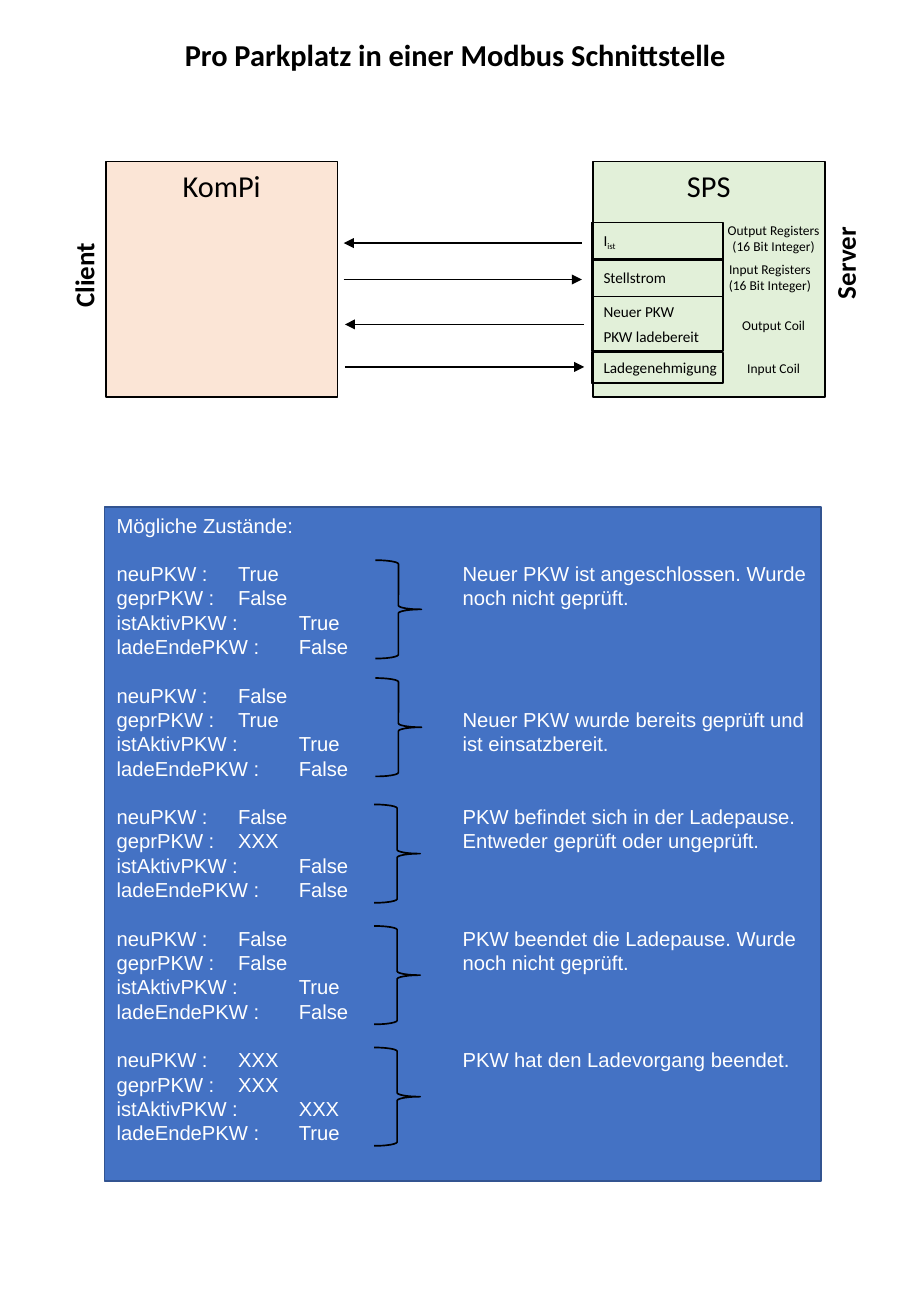
from dataclasses import dataclass
from lxml.etree import SubElement
from pptx import Presentation
from pptx.dml.color import RGBColor
from pptx.enum.shapes import MSO_CONNECTOR, MSO_SHAPE
from pptx.enum.text import MSO_ANCHOR, MSO_AUTO_SIZE, PP_ALIGN
from pptx.oxml.ns import qn
from pptx.util import Inches, Pt


@dataclass(frozen=True)
class Theme:
    black: str = "000000"
    white: str = "FFFFFF"
    peach: str = "FBE5D6"
    green: str = "E2F0D9"
    blue: str = "4472C4"
    navy: str = "325491"
    head: int = 18
    side: int = 16
    body: int = 12
    row: int = 9
    note: int = 8
    sans: str = "Calibri"
    list: str = "Arial"
    pitch: float = 14.4


THEME = Theme()
LEFT, MID, TOP = PP_ALIGN.LEFT, PP_ALIGN.CENTER, MSO_ANCHOR.TOP

# Registers: top, height, labels as (text, subscript)
ROWS = [
    (1.83, 0.31, [("I", "ist")]),
    (2.13, 0.31, [("Stellstrom", "")]),
    (2.44, 0.45, [("Neuer PKW", ""), ("PKW ladebereit", "")]),
    (2.9, 0.25, [("Ladegenehmigung", "")]),
]
KINDS = [
    ((5.87, 1.78, 1, 0.37), ["Output Registers", "(16 Bit Integer)"]),
    ((5.76, 2.1, 1.16, 0.37), ["Input Registers", "(16 Bit Integer)"]),
    ((5.92, 2.56, 0.9, 0.24), ["Output Coil"]),
    ((5.92, 2.91, 0.9, 0.24), ["Input Coil"]),
]
ARROWS = [(4.79, 2.83, 2), (2.83, 4.79, 2.3), (4.81, 2.84, 2.67), (2.84, 4.81, 3.02)]

# States: values, note, line of the note, brace position
KEYS = ["neuPKW :", "geprPKW :", "istAktivPKW :", "ladeEndePKW :"]
STATES = [
    ("True False True False", "Neuer PKW ist angeschlossen. Wurde noch nicht geprüft.", 2, (3.09, 4.61)),
    ("False True True False", "Neuer PKW wurde bereits geprüft und ist einsatzbereit.", 8, (3.09, 5.58)),
    ("False XXX False False", "PKW befindet sich in der Ladepause. Entweder geprüft oder ungeprüft.", 12, (3.08, 6.62)),
    ("False False True False", "PKW beendet die Ladepause. Wurde noch nicht geprüft.", 17, (3.08, 7.62)),
    ("XXX XXX XXX True", "PKW hat den Ladevorgang beendet.", 22, (3.08, 8.62)),
]


def apply(item, form):
    for key, val in form.items():
        setattr(item, key, val)


def style(shape, fill=None, line=THEME.black):
    if fill:
        shape.fill.solid()
        shape.fill.fore_color.rgb = RGBColor.from_string(fill)
    else:
        shape.fill.background()
    shape.line.color.rgb = RGBColor.from_string(line)
    shape.line.width = Pt(1)


def place(shape, at):
    apply(shape, dict(zip(("left", "top", "width", "height"), map(Inches, at))))


def write(para, text, size, font=THEME.sans, color=THEME.black, bold=False):
    run = para.add_run()
    run.text = text
    apply(run.font, {"size": Pt(size), "name": font, "bold": bold})
    run.font.color.rgb = RGBColor.from_string(color)
    return run


def paras(frame, count):
    """Yield count paragraphs, starting with the one the frame has."""
    for num in range(count):
        yield frame.add_paragraph() if num else frame.paragraphs[0]


def shape(slide, kind, at, fill=None):
    item = slide.shapes.add_shape(kind, *map(Inches, at))
    item.shadow.inherit = False
    style(item, fill)
    return item


def label(slide, at, lines, size, align=MID, turn=0, **form):
    box = slide.shapes.add_textbox(*map(Inches, at))
    box.rotation = turn
    box.text_frame.word_wrap = True
    for para, text in zip(paras(box.text_frame, len(lines)), lines):
        para.alignment = align
        write(para, text, size, **form)
    return box


def device(slide, left, name, fill):
    box = shape(slide, MSO_SHAPE.RECTANGLE, (left, 1.33, 1.91, 1.94), fill)
    box.text_frame.vertical_anchor = TOP
    para = box.text_frame.paragraphs[0]
    para.alignment = MID
    write(para, name, THEME.head)


def register(slide, top, high, names):
    box = shape(slide, MSO_SHAPE.RECTANGLE, (4.87, top, 1.08, high))
    frame = box.text_frame
    apply(frame, {"margin_right": 0, "margin_top": 0, "margin_bottom": 0,
                  "vertical_anchor": MSO_ANCHOR.MIDDLE})
    for num, (para, (name, sub)) in enumerate(zip(paras(frame, len(names)), names)):
        para.alignment = LEFT
        if num:
            para.space_before = Pt(4)
        write(para, name, THEME.row)
        if sub:
            run = write(para, sub, THEME.row)
            run.font._element.set("baseline", "-25000")


def arrow(slide, start, end, y):
    line = slide.shapes.add_connector(
        MSO_CONNECTOR.STRAIGHT, Inches(start), Inches(y), Inches(end), Inches(y))
    line.line.color.rgb = RGBColor.from_string(THEME.black)
    line.line.width = Pt(1)
    SubElement(line.line._get_or_add_ln(), qn("a:tailEnd"), type="triangle")
    SubElement(line._element.spPr, qn("a:effectLst"))


def title(slide, text):
    item = slide.shapes.title
    place(item, (1.28, 0.25, 4.94, 0.4))
    item.text_frame.auto_size = MSO_AUTO_SIZE.NONE
    para = item.text_frame.paragraphs[0]
    para.alignment = MID
    write(para, text, THEME.head, bold=True)


def panel(slide):
    item = slide.placeholders[1]
    place(item, (0.86, 4.17, 5.9, 5.55))
    style(item, THEME.blue, THEME.navy)
    frame = item.text_frame
    apply(frame, {"auto_size": MSO_AUTO_SIZE.NONE, "vertical_anchor": TOP,
                  "margin_right": Inches(3.05)})
    lines = [("Mögliche Zustände:", 0)]
    for vals, *_ in STATES:
        for num, (key, val) in enumerate(zip(KEYS, vals.split())):
            lines.append((f"{key}\t{val}", 0 if num else THEME.pitch))
    for para, (text, gap) in zip(paras(frame, len(lines)), lines):
        props = para._p.get_or_add_pPr()
        apply(para, {"alignment": LEFT, "line_spacing": Pt(THEME.pitch),
                     "space_before": Pt(gap)})
        props.set("marL", "0")
        props.set("indent", "0")
        SubElement(props, qn("a:buNone"))
        tabs = SubElement(props, qn("a:tabLst"))
        SubElement(tabs, qn("a:tab"), pos=str(Inches(1.5)), algn="l")
        write(para, text, THEME.body, THEME.list, THEME.white)


def main():
    deck = Presentation()
    apply(deck, {"slide_width": Inches(7.5), "slide_height": Inches(10.83)})
    slide = deck.slides.add_slide(deck.slide_layouts[1])
    title(slide, "Pro Parkplatz in einer Modbus Schnittstelle")

    # Devices and their registers
    device(slide, 0.87, "KomPi", THEME.peach)
    device(slide, 4.88, "SPS", THEME.green)
    for row in ROWS:
        register(slide, *row)
    for at, lines in KINDS:
        label(slide, at, lines, THEME.note)
    for ends in ARROWS:
        arrow(slide, *ends)
    for left, top, name in [(5.95, 1.98, "Server"), (-0.32, 2.08, "Client")]:
        label(slide, (left, top, 2.02, 0.37), [name], THEME.side, turn=270, bold=True)

    # Possible states with braces and notes
    panel(slide)
    for _, note, line, spot in STATES:
        shape(slide, MSO_SHAPE.RIGHT_BRACE, (*spot, 0.38, 0.81))
        box = label(slide, (3.71, 4.17 + 0.2 * line, 3.05, 0.5), [note], THEME.body,
                    LEFT, font=THEME.list, color=THEME.white)
        box.text_frame.paragraphs[0].line_spacing = Pt(THEME.pitch)

    deck.save("out.pptx")


if __name__ == "__main__":
    main()
